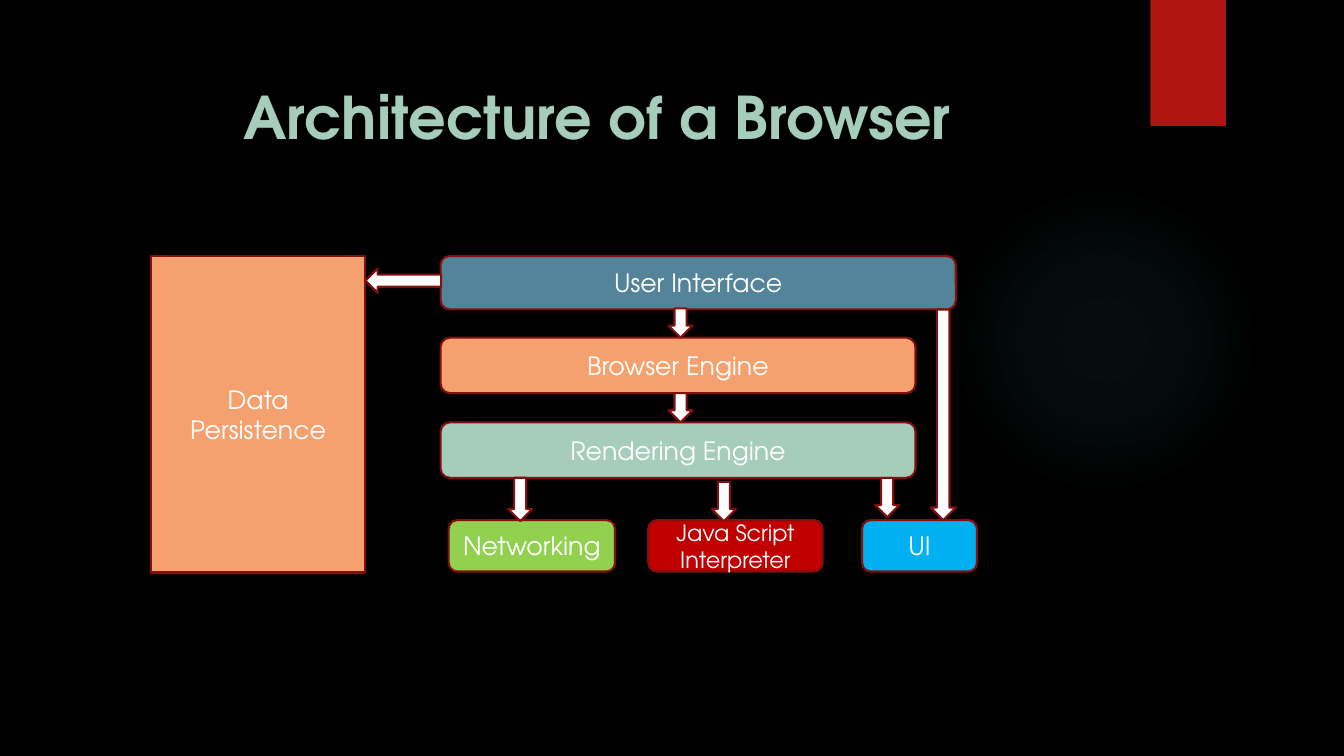
from pptx import Presentation
from pptx.dml.color import RGBColor
from pptx.enum.shapes import MSO_SHAPE
from pptx.enum.text import MSO_ANCHOR, PP_ALIGN
from pptx.oxml import parse_xml
from pptx.oxml.ns import nsdecls
from pptx.util import Inches, Pt

RECT = MSO_SHAPE.RECTANGLE
ROUNDED = MSO_SHAPE.ROUNDED_RECTANGLE
OVAL = MSO_SHAPE.OVAL
DOWN_ARROW = MSO_SHAPE.DOWN_ARROW
TOP, MIDDLE = MSO_ANCHOR.TOP, MSO_ANCHOR.MIDDLE
CENTER = PP_ALIGN.CENTER

BLACK, WHITE = "000000", "FFFFFF"
RED, DARK_RED = "B01513", "82100E"
MINT, ORANGE, TEAL = "A6CDBC", "F4A16F", "50B9C1"


def rgb(value):
    return RGBColor.from_string(value)


class DiagramSlide:
    font = "TeX Gyre Adventor"
    line_width = Pt(1.5)

    def __init__(self, prs):
        self.slide = prs.slides.add_slide(prs.slide_layouts[6])
        background = self.slide.background.fill
        background.solid()
        background.fore_color.rgb = rgb(BLACK)

    def label(self, shape, text, size, color, anchor=MIDDLE, bold=False):
        frame = shape.text_frame
        frame.word_wrap = True
        frame.vertical_anchor = anchor
        frame.text = text
        paragraph = frame.paragraphs[0]
        paragraph.alignment = CENTER
        font = paragraph.runs[0].font
        font.name, font.size, font.bold = self.font, Pt(size), bold
        font.color.rgb = rgb(color)

    def title(self, box, text):
        holder = self.slide.shapes.add_textbox(*map(Inches, box))
        self.label(holder, text, 42, MINT, TOP, True)

    def shape(self, kind, box, fill, line=DARK_RED):
        shape = self.slide.shapes.add_shape(kind, *map(Inches, box))
        shape.shadow.inherit = False
        shape.fill.solid()
        shape.fill.fore_color.rgb = rgb(fill)
        if line:
            shape.line.color.rgb = rgb(line)
            shape.line.width = self.line_width
        else:
            shape.line.fill.background()
        return shape

    def block(self, kind, box, fill, text, size=18):
        self.label(self.shape(kind, box, fill), text, size, WHITE)

    def arrow(self, left, top, length, width=0.24, rotation=0):
        arrow = self.shape(DOWN_ARROW, (left, top, width, length), WHITE)
        arrow.rotation = rotation

    def glow(self, box, color, stops):
        glow = self.shape(OVAL, box, color, None)
        stop_xml = "".join(
            f'<a:gs pos="{position * 1000}"><a:srgbClr val="{color}">'
            f'<a:alpha val="{opacity * 1000}"/></a:srgbClr></a:gs>'
            for position, opacity in stops)
        gradient = parse_xml(
            f'<a:gradFill {nsdecls("a")}><a:gsLst>{stop_xml}</a:gsLst>'
            '<a:path path="circle"><a:fillToRect l="50000" t="50000" '
            'r="50000" b="50000"/></a:path></a:gradFill>')
        properties = glow.element.spPr
        properties.replace(properties.find("{*}solidFill"), gradient)


def main():
    prs = Presentation()
    prs.slide_width, prs.slide_height = Inches(13.33), Inches(7.5)
    page = DiagramSlide(prs)

    # Backdrop and title
    page.glow((9.41, 1.83, 3.08, 3.08), TEAL, [(0, 7), (36, 6), (69, 0)])
    page.shape(RECT, (11.41, 0, 0.75, 1.25), RED, None)
    page.title((1.21, 0.75, 9.42, 1.41), "Architecture of a Browser")

    # Storage and the main layers
    page.block(RECT, (1.5, 2.54, 2.12, 3.14), ORANGE, "Data Persistence")
    layers = [
        (2.54, 5.11, 0.53, "54849A", "User Interface"),
        (3.35, 4.71, 0.55, ORANGE, "Browser Engine"),
        (4.19, 4.71, 0.55, MINT, "Rendering Engine"),
    ]
    for top, width, height, fill, text in layers:
        page.block(ROUNDED, (4.37, top, width, height), fill, text)

    # Components under the rendering engine
    components = [
        (4.45, 1.65, "92D050", "Networking", 18),
        (6.43, 1.73, "C00000", "Java Script Interpreter", 16),
        (8.55, 1.14, "00B0F0", "UI", 18),
    ]
    for left, width, fill, text, size in components:
        page.block(ROUNDED, (left, 5.16, width, 0.51), fill, text, size)

    # Arrows: interface to UI, interface to storage, then layer to layer
    page.arrow(9.23, 3.07, 2.09, width=0.25)
    page.arrow(3.88, 2.41, 0.75, rotation=90)
    for top in (3.06, 3.9):
        page.arrow(6.63, top, 0.29)
    for left, top, length in ((5.04, 4.74, 0.43), (7.06, 4.78, 0.39),
                              (8.68, 4.74, 0.39)):
        page.arrow(left, top, length)

    prs.save("out.pptx")


if __name__ == "__main__":
    main()
